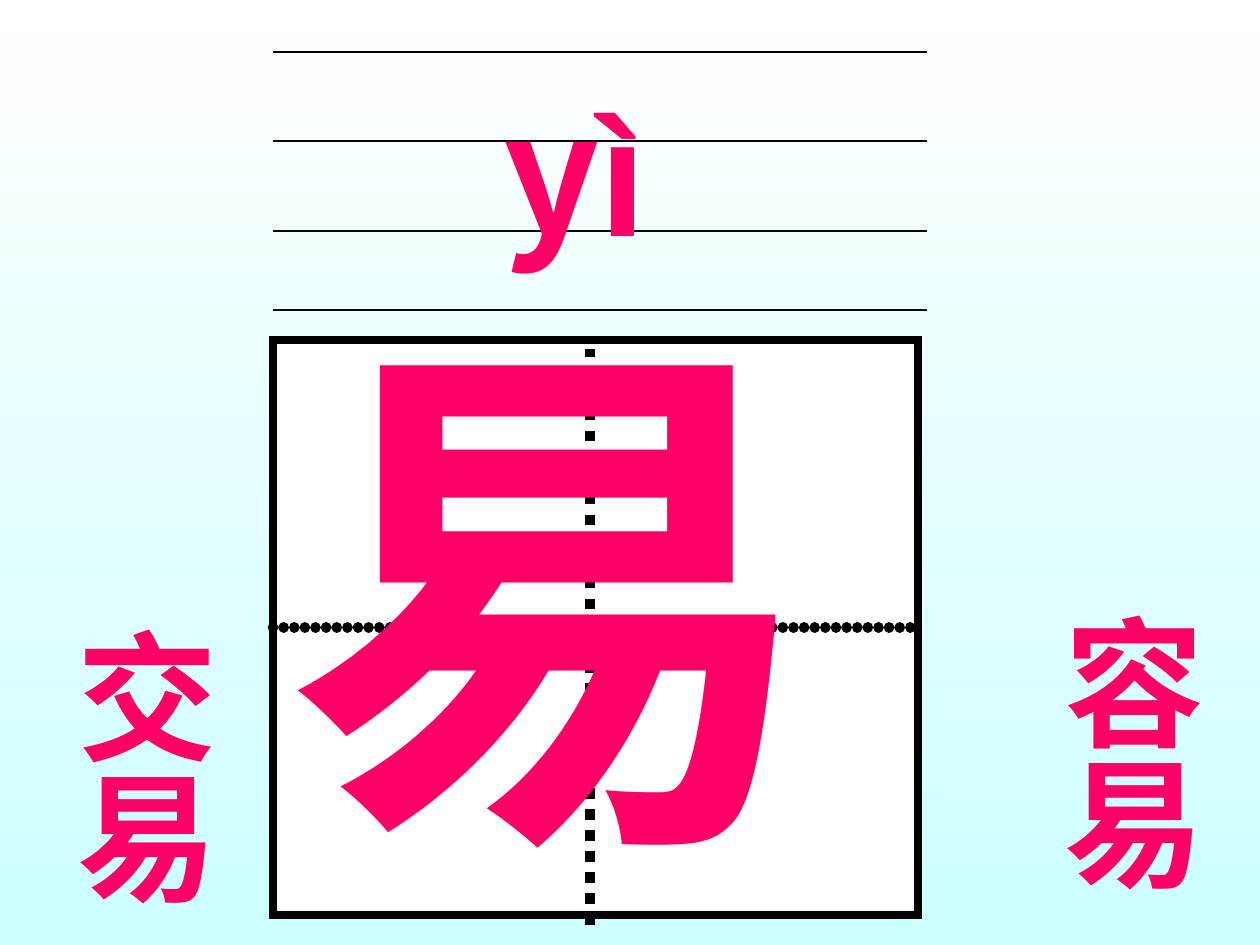
from lxml import etree
from pptx import Presentation
from pptx import util as u
from pptx.dml.color import RGBColor
from pptx.enum import dml, shapes, text
from pptx.oxml.ns import qn

PX = 914400 // 126
BLACK = RGBColor(0x00, 0x00, 0x00)
WHITE = RGBColor(0xFF, 0xFF, 0xFF)
AQUA = RGBColor(0xCC, 0xFF, 0xFF)
PINK = RGBColor(0xFF, 0x00, 0x66)
LATIN = "Arial"
CJK = "Noto Sans CJK SC"


def px(value):
    """Turn whole pixels into EMU."""
    return u.Emu(value * PX)


def paint_background(page):
    """Fill the page with a gradient running from top to bottom."""
    fill = page.background.fill
    fill.gradient()
    fill.gradient_angle = 270
    for stop, color, position in zip(fill.gradient_stops, (WHITE, AQUA), (0, 1)):
        stop.color.rgb = color
        stop.position = position


def add_rule(parent, start, end, width):
    """Draw a black straight line between two points."""
    rule = parent.add_connector(
        shapes.MSO_CONNECTOR.STRAIGHT, *map(px, start), *map(px, end))
    rule.line.color.rgb = BLACK
    rule.line.width = u.Pt(width)
    etree.SubElement(rule._element.spPr, qn("a:effectLst"))
    return rule


def make_round_dots(rule):
    """Turn a line into a row of touching round dots."""
    outline = rule.line._get_or_add_ln()
    outline.set("cap", "rnd")
    dashes = etree.SubElement(outline, qn("a:custDash"))
    etree.SubElement(dashes, qn("a:ds"), d="1000", sp="100000")


def add_writing_grid(page):
    """Draw the framed character square with its dotted cross."""
    grid = page.shapes.add_group_shape().shapes
    frame = grid.add_shape(
        shapes.MSO_SHAPE.RECTANGLE, px(273), px(340), px(645), px(575))
    frame.shadow.inherit = False
    frame.fill.solid()
    frame.fill.fore_color.rgb = WHITE
    frame.line.color.rgb = BLACK
    frame.line.width = u.Pt(4.5)
    etree.SubElement(frame.line._get_or_add_ln(), qn("a:miter"), lim="800000")
    across = add_rule(grid, (273, 628), (918, 628), 6)
    across.begin_connect(frame, 1)
    across.end_connect(frame, 3)
    make_round_dots(across)
    down = add_rule(grid, (590, 925), (590, 349), 6)
    down.line.dash_style = dml.MSO_LINE.ROUND_DOT


def add_text(page, area, spans, size, wrap=True, vertical=False):
    """Add a text box of bold pink spans, each with its own font."""
    box = page.shapes.add_textbox(*map(px, area))
    frame = box.text_frame
    frame.word_wrap = wrap
    frame.auto_size = text.MSO_AUTO_SIZE.SHAPE_TO_FIT_TEXT
    if vertical:
        frame._txBody.bodyPr.set("vert", "eaVert")
        frame.margin_left = frame.margin_right = u.Inches(0.05)
        frame.margin_top = px(39)
        frame.margin_bottom = px(13)
    para = frame.paragraphs[0]
    for words, face in spans:
        span = para.add_run()
        span.text = words
        span.font.size = u.Pt(size)
        span.font.bold = True
        span.font.color.rgb = PINK
        span.font.name = face
        etree.SubElement(span._r.rPr, qn("a:ea"), typeface=CJK)


def main():
    """Build the character card and save it."""
    deck = Presentation()
    deck.slide_width, deck.slide_height = u.Inches(10), u.Inches(7.5)
    page = deck.slides.add_slide(deck.slide_layouts[6])
    paint_background(page)
    add_writing_grid(page)
    for top in (310, 231, 141, 52):
        add_rule(page.shapes, (273, top), (927, top), 0.75)
    add_text(page, (491, 62, 507, 214), [("y", CJK), ("ì", LATIN)], 96)
    add_text(page, (274, 257, 558, 654), [("易", LATIN)], 305, wrap=False)
    for left, top, word in ((40, 588, "交易"), (1027, 574, "容易")):
        add_text(page, (left, top, 193, 358), [(word, LATIN)], 80, vertical=True)
    deck.save("out.pptx")


if __name__ == "__main__":
    main()
